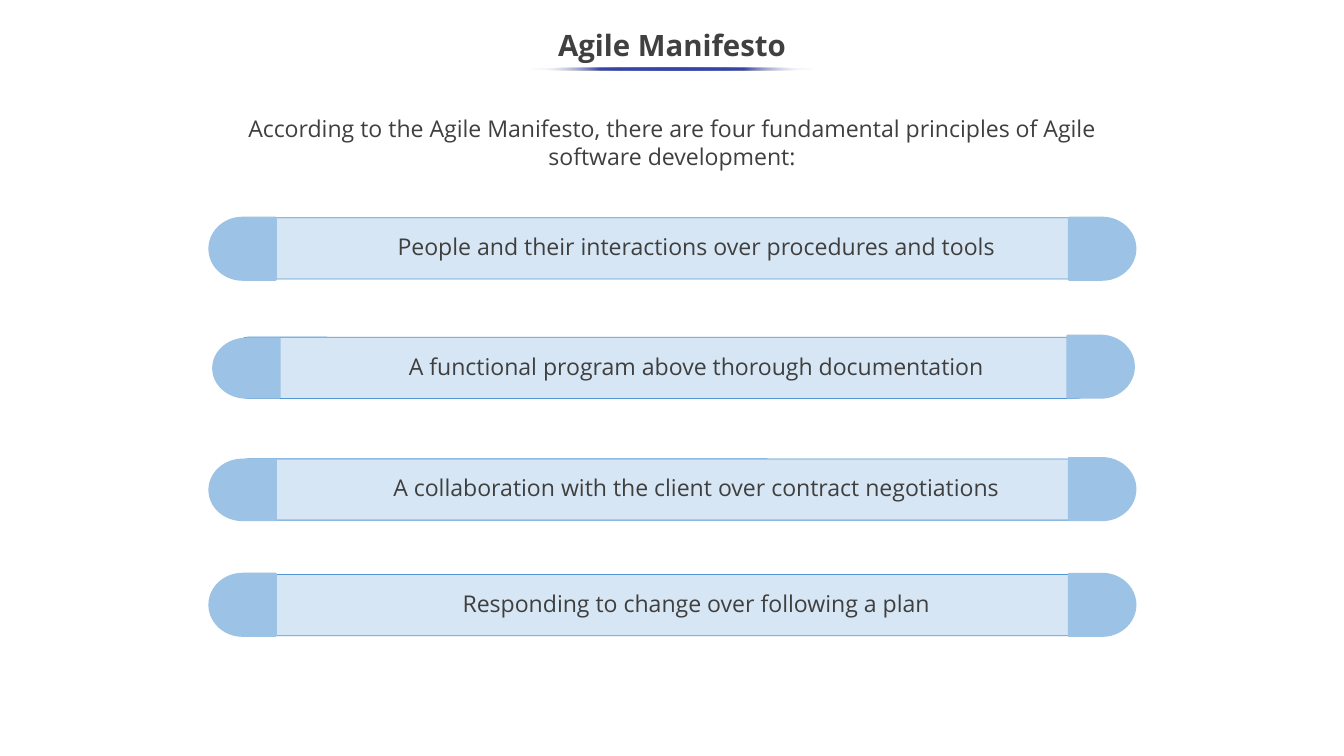
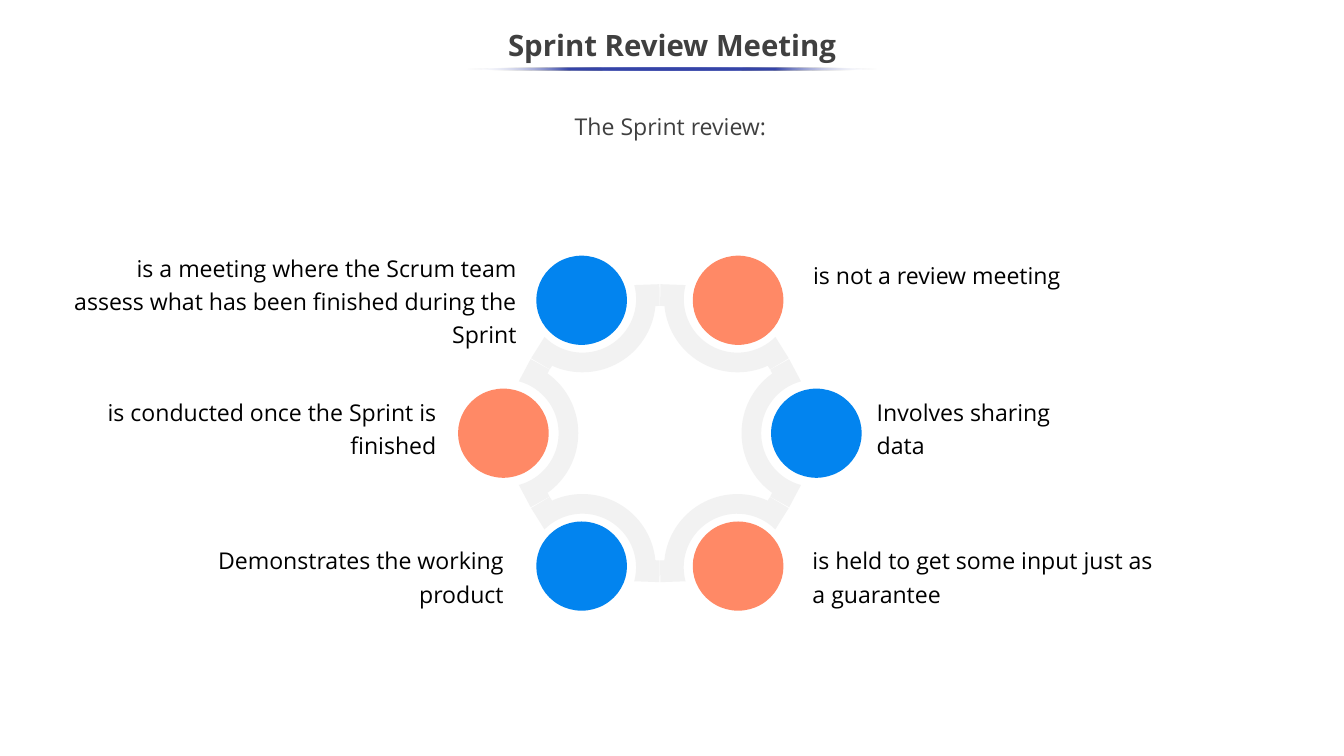
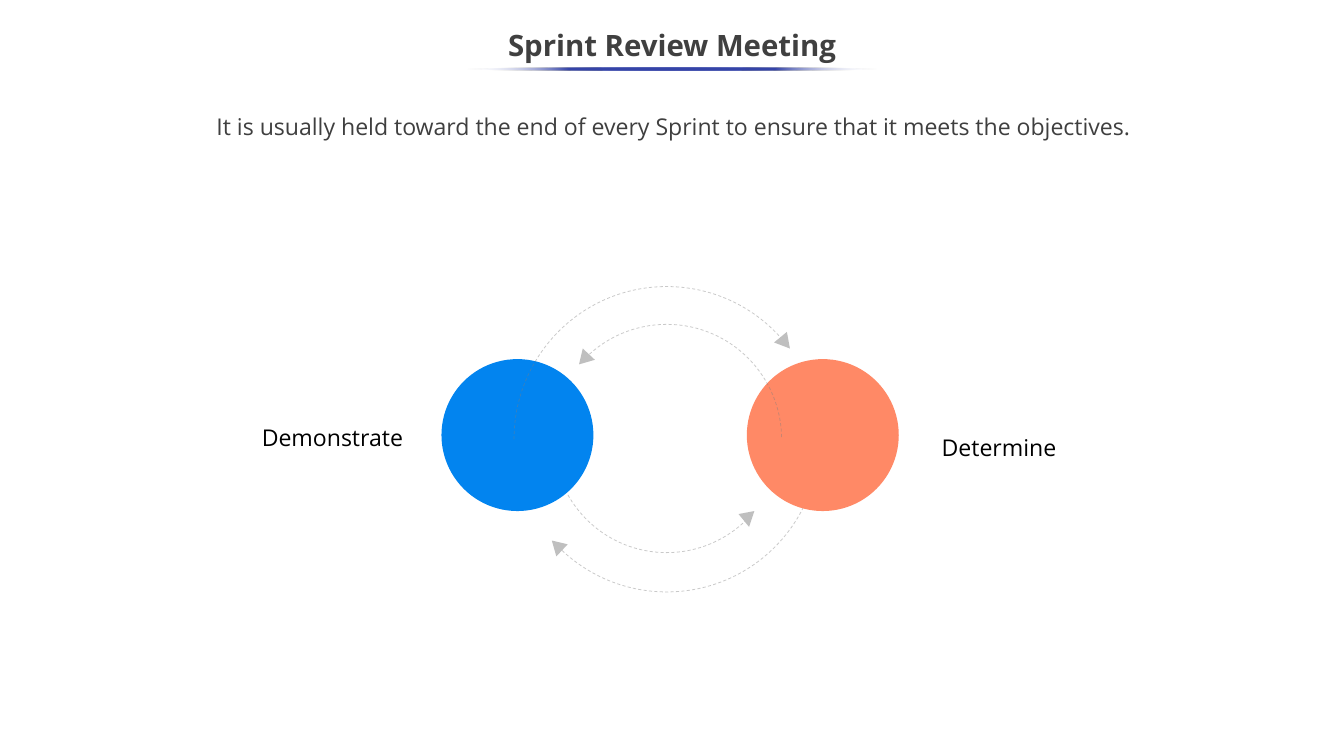
from math import ceil, cos, floor, radians, sin, tan

from lxml import etree
from pptx import Presentation
from pptx.dml.color import RGBColor
from pptx.enum.dml import MSO_LINE
from pptx.enum.shapes import MSO_SHAPE
from pptx.enum.text import MSO_ANCHOR, PP_ALIGN
from pptx.oxml import parse_xml
from pptx.oxml.ns import nsdecls, qn
from pptx.util import Inches, Pt

W, H = 17.78, 10
FONT = "Open Sans"
TITLE_GREY = RGBColor(0x40, 0x40, 0x40)
TEXT_GREY = RGBColor(0x3F, 0x3F, 0x3F)
BLACK = RGBColor(0, 0, 0)
SKY = RGBColor(0x9C, 0xC2, 0xE5)
BAR_EDGE = RGBColor(0x52, 0x97, 0xD3)
INDIGO = RGBColor(0x36, 0x45, 0xA9)
WHITE = RGBColor(255, 255, 255)
BLUE = RGBColor(0x02, 0x84, 0xEF)
CORAL = RGBColor(0xFF, 0x89, 0x66)
RING_GREY = RGBColor(0xF2, 0xF2, 0xF2)
ARC_GREY = RGBColor(0x7F, 0x7F, 0x7F)
HEAD_GREY = RGBColor(0xBF, 0xBF, 0xBF)
LEFT, CENTER, RIGHT = PP_ALIGN.LEFT, PP_ALIGN.CENTER, PP_ALIGN.RIGHT

MANIFESTO = ("According to the Agile Manifesto, there are four fundamental "
             "principles of Agile software development:")
PRINCIPLES = [  # bar top, left cap (left, top), right cap (left, top), text
    (2.88, (2.77, 2.88), (14.14, 2.88),
     "People and their interactions over procedures and tools"),
    (4.46, (2.82, 4.48), (14.12, 4.44),
     "A functional program above thorough documentation"),
    (6.07, (2.77, 6.08), (14.14, 6.06),
     "A collaboration with the client over contract negotiations"),
    (7.6, (2.77, 7.59), (14.14, 7.59),
     "Responding to change over following a plan"),
]
REVIEW_POINTS = [  # clockwise from the right: text, (left, top, width), align
    ("Involves sharing data", (11.5, 5.15, 3.18), LEFT),
    ("is held to get some input just as a guarantee", (10.65, 7.11, 4.88), LEFT),
    ("Demonstrates the working product", (1.82, 7.11, 4.94), RIGHT),
    ("is conducted once the Sprint is finished", (0.82, 5.15, 5.05), RIGHT),
    ("is a meeting where the Scrum team assess what has been finished during "
     "the Sprint", (0.82, 3.24, 6.11), RIGHT),
    ("is not a review meeting", (10.66, 3.34, 3.76), LEFT),
]
LOWER_ARROWS = [  # radius, start and end angle, head corners
    (1.5, 45, 184, [(9.77, 6.8), (9.91, 6.97), (9.98, 6.76)]),
    (2.02, 0, 136, [(7.36, 7.36), (7.51, 7.2), (7.3, 7.15)]),
]
UPPER_ARROWS = [
    (2.02, 180, 319, [(10.41, 4.39), (10.24, 4.53), (10.45, 4.61)]),
    (1.52, 225, 360, [(7.87, 4.76), (7.71, 4.61), (7.66, 4.82)]),
]
STEPS = [  # circle left, colour, label, label left, label top, align, spacing
    (5.84, BLUE, "Demonstrate", 1.87, 5.57, RIGHT, None),
    (9.88, CORAL, "Determine", 12.36, 5.69, LEFT, 1.1),
]

prs = Presentation()
prs.slide_width, prs.slide_height = Inches(W), Inches(H)


def put_text(sp, text, size=22, color=TEXT_GREY, bold=False, align=CENTER,
             anchor=MSO_ANCHOR.TOP, spacing=None, insets=(0.1, 0.05, 0.1, 0.05)):
    tf = sp.text_frame
    tf.word_wrap = True
    tf.vertical_anchor = anchor
    (tf.margin_left, tf.margin_top,
     tf.margin_right, tf.margin_bottom) = map(Inches, insets)
    p = tf.paragraphs[0]
    p.alignment, p.line_spacing = align, spacing
    r = p.add_run()
    r.text = text
    r.font.name, r.font.size, r.font.bold = FONT, Pt(size), bold
    r.font.color.rgb = color


def add_label(s, text, box, **fmt):
    put_text(s.shapes.add_textbox(*map(Inches, box)), text, **fmt)


def set_alpha(part, percent):
    for clr in part.iter(qn("a:srgbClr")):
        etree.SubElement(clr, qn("a:alpha")).set("val", str(percent * 1000))


def paint(sp, fill=None, line=None, width=0.75):
    sp.shadow.inherit = False
    if fill is None:
        sp.fill.background()
    else:
        sp.fill.solid()
        sp.fill.fore_color.rgb = fill
    if line is None:
        sp.line.fill.background()
    else:
        sp.line.color.rgb, sp.line.width = line, Pt(width)
    return sp


def add_preset(s, kind, box, **look):
    return paint(s.shapes.add_shape(kind, *map(Inches, box)), **look)


def add_outline(s, steps, closed=True, **look):
    """Draw steps: one point each for a line, three for a Bézier curve."""
    points = [(Inches(x), Inches(y)) for step in steps for x, y in step]
    fb = s.shapes.build_freeform(*points[0])
    fb.add_line_segments(points[1:], close=closed)
    sp = fb.convert_to_shape()
    lines = iter(list(sp._element.iter(qn("a:lnTo"))))
    for step in steps[1:]:
        first, *others = [next(lines) for _ in step]
        if others:
            first.tag = qn("a:cubicBezTo")
            for ln in others:
                first.append(ln[0])
                ln.getparent().remove(ln)
    return paint(sp, **look)


def arc_steps(cx, cy, radius, start, end):
    """Curves of a circular arc, split at each quarter so its box is exact."""
    low, high = sorted((start, end))
    quarters = range(90 * (floor(low / 90) + 1), 90 * ceil(high / 90), 90)
    stops = sorted({low, *quarters, high}, reverse=start > end)

    def at(angle, pull=0):
        c, d = cos(radians(angle)), sin(radians(angle))
        return cx + radius * (c - pull * d), cy + radius * (d + pull * c)

    steps = [(at(start),)]
    for a, b in zip(stops, stops[1:]):
        pull = 4 / 3 * tan(radians(b - a) / 4)
        steps.append((at(a, pull), at(b, -pull), at(b)))
    return steps


def new_slide(title, rule_width):
    """Blank slide with the shared title and the fading rule below it."""
    s = prs.slides.add_slide(prs.slide_layouts[6])
    add_label(s, title, (-0.01, 0.25, W + 0.02, 0.75), size=28, color=TITLE_GREY,
              bold=True, anchor=MSO_ANCHOR.MIDDLE, spacing=0.9)
    rule = add_preset(s, MSO_SHAPE.OVAL,
                      ((W - rule_width) / 2, 0.89, rule_width, 0.04), fill=INDIGO)
    stops = "".join(
        f'<a:gs pos="{pos * 1000}"><a:srgbClr val="{clr}">'
        f'<a:alpha val="{alpha * 1000}"/></a:srgbClr></a:gs>'
        for pos, clr, alpha in [(0, WHITE, 0), (25, INDIGO, 100), (50, INDIGO, 100),
                                (75, INDIGO, 100), (100, WHITE, 0)])
    solid = rule._element.spPr.find(qn("a:solidFill"))
    solid.getparent().replace(solid, parse_xml(
        f'<a:gradFill {nsdecls("a")}><a:gsLst>{stops}</a:gsLst>'
        '<a:lin ang="10800000" scaled="0"/></a:gradFill>'))
    return s


def new_review_slide(lead):
    s = new_slide("Sprint Review Meeting", 5.44)
    box = add_preset(s, MSO_SHAPE.ROUNDED_RECTANGLE, (1.41, 1.34, 15, 1.07))
    box.adjustments[0] = 0.12
    put_text(box, lead, spacing=1.15)
    return s


def manifesto_slide():
    s = new_slide("Agile Manifesto", 3.77)
    lead = add_preset(s, MSO_SHAPE.ROUNDED_RECTANGLE,
                      (2.65, 1.39, 12.48, 0.99), fill=WHITE)
    put_text(lead, MANIFESTO, anchor=MSO_ANCHOR.MIDDLE, insets=[0.1] * 4)
    for top, left_cap, right_cap, text in PRINCIPLES:
        bar = add_preset(s, MSO_SHAPE.ROUNDED_RECTANGLE,
                         (3.14, top, 11.25, 0.81), fill=SKY, line=BAR_EDGE)
        set_alpha(bar._element.spPr.find(qn("a:solidFill")), 40)
        put_text(bar, text, anchor=MSO_ANCHOR.MIDDLE, spacing=0.9,
                 insets=(1.16, 0.27, 0.27, 0.27))
        bottom = right_cap[1] + 0.82
        for (x, y), turn in [(left_cap, 180), (right_cap, 0)]:
            cap = add_preset(s, MSO_SHAPE.FLOWCHART_DELAY,
                             (x, y, 0.88, bottom - y), fill=SKY, line=SKY, width=2)
            cap.rotation = turn


def ring_slide():
    s = new_review_slide("The Sprint review: ")
    cx, cy, rx, ry = 8.73, 5.73, 2.07, 2.03
    # Ring arm pointing down, measured from the ring's centre
    hub, near, far = 2.05, 0.71, 0.97
    arm = (arc_steps(0, hub, near, 195, 345)
           + [((0.98, 1.71),), ((0.84, 1.46),), ((0.78, 1.49),)]
           + arc_steps(0, hub, far, 324, 216)
           + [((-0.78, 1.49),), ((-0.84, 1.46),), ((-0.98, 1.71),)])
    arm_top = hub - far
    arm_bottom = hub - near * sin(radians(15))
    arm_mid = (arm_top + arm_bottom) / 2
    angles = [60 * i for i in range(len(REVIEW_POINTS))]
    for angle in angles:
        a = radians(angle)
        sp = add_outline(s, [[(cx + x, cy + y) for x, y in step] for step in arm],
                         fill=RING_GREY)
        sp.left = Inches(cx + arm_mid * cos(a)) - sp.width // 2
        sp.top = Inches(cy + arm_mid * sin(a)) - sp.height // 2
        sp.rotation = (angle - 90) % 360
    for i, (angle, (text, box, align)) in enumerate(zip(angles, REVIEW_POINTS)):
        a = radians(angle)
        add_preset(s, MSO_SHAPE.OVAL,
                   (cx + rx * cos(a) - 0.6, cy + ry * sin(a) - 0.59, 1.2, 1.18),
                   fill=CORAL if i % 2 else BLUE)
        add_label(s, text, (*box, 0.88), color=BLACK, align=align, spacing=1.2)


def add_arrows(s, arrows):
    for radius, start, end, head in arrows:
        arc = add_outline(s, arc_steps(8.82, 5.81, radius, start, end),
                          closed=False, line=ARC_GREY)
        arc.line.dash_style = MSO_LINE.DASH
        set_alpha(arc._element.spPr.find(qn("a:ln")), 41)
        add_outline(s, [(corner,) for corner in head], fill=HEAD_GREY)


def cycle_slide():
    s = new_review_slide("It is usually held toward the end of every Sprint to "
                         "ensure that it meets the objectives.")
    add_arrows(s, LOWER_ARROWS)
    for left, color, text, text_left, text_top, align, spacing in STEPS:
        add_preset(s, MSO_SHAPE.OVAL, (left, 4.75, 2.01, 2.01), fill=color)
        add_label(s, text, (text_left, text_top, 3.56, 0.42), color=BLACK,
                  align=align, anchor=MSO_ANCHOR.MIDDLE, spacing=spacing)
    add_arrows(s, UPPER_ARROWS)


manifesto_slide()
ring_slide()
cycle_slide()
prs.save("out.pptx")
